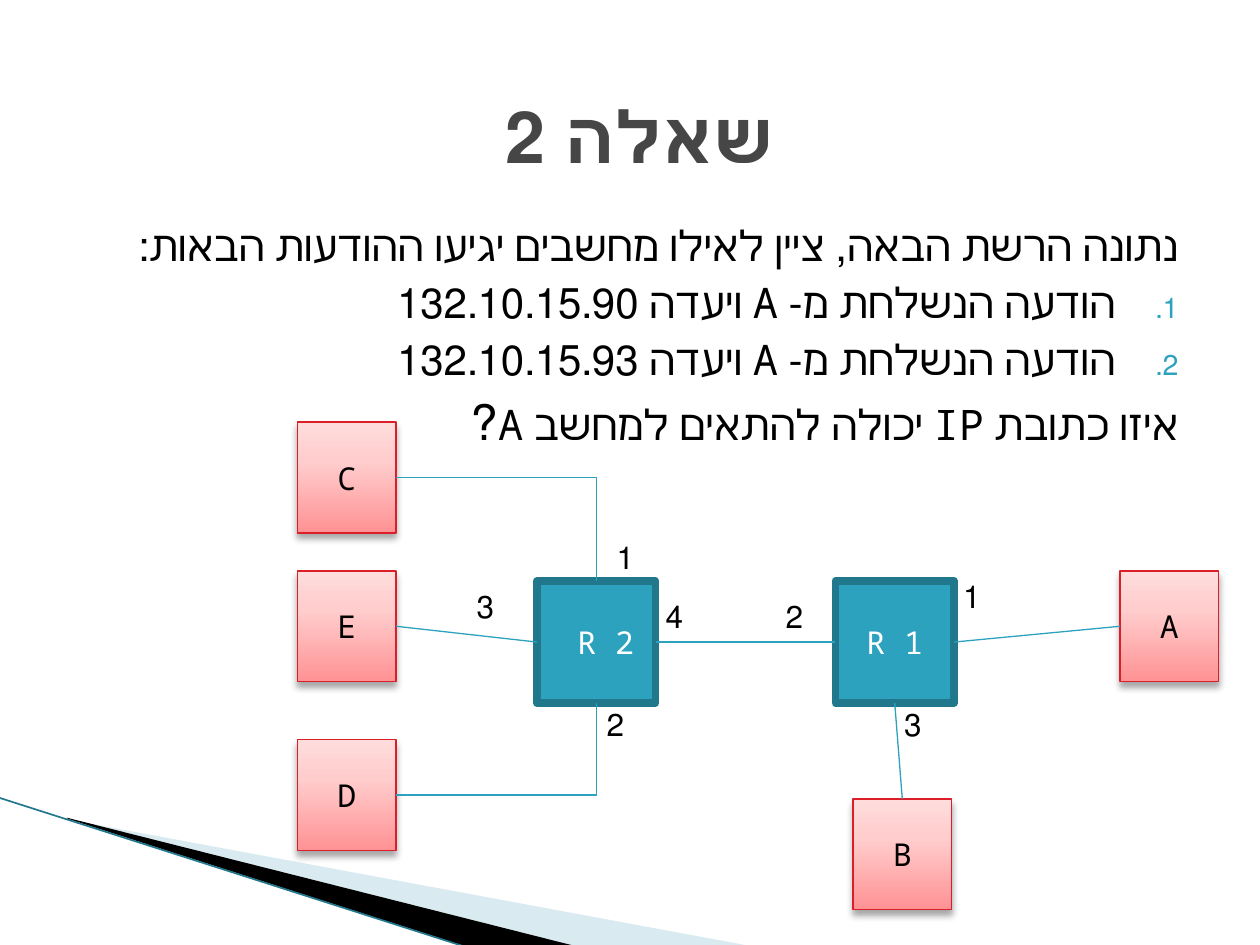
from typing import NamedTuple

from lxml.etree import SubElement
from pptx import Presentation
from pptx.dml.color import RGBColor
from pptx.enum.shapes import MSO_CONNECTOR as CONN, MSO_SHAPE as SHAPE
from pptx.enum.text import MSO_ANCHOR as ANCHOR, PP_ALIGN as ALIGN
from pptx.oxml import parse_xml
from pptx.oxml.ns import nsdecls, qn
from pptx.util import Pt

FONT = "Noto Sans Mono"
TEAL, DARK_TEAL, BLACK = "2DA2BF", "21788D", "000000"
TOP, LEFT, BOTTOM, RIGHT = range(4)  # connection sites of a rectangle


class Node(NamedTuple):
    """A computer or router of the network."""
    text: str
    left: float
    top: float
    router: bool = False
    rtl: bool = True


class Link(NamedTuple):
    """A line between two connection sites."""
    start: str
    start_site: int
    end: str
    end_site: int
    bent: bool = False


class Port(NamedTuple):
    """A port number beside a router."""
    text: str
    left: float
    top: float


class Line(NamedTuple):
    """A paragraph of the question."""
    text: str
    indent: float = -36
    numbered: bool = False
    tail: str = ""


NODES = {
    "R2": Node(" R 2", 306.8, 332, True, False),
    "R1": Node("R 1", 477.4, 332, True),
    "A": Node("A", 640, 326.2),
    "B": Node("B", 487.4, 456.5),
    "C": Node("C", 170, 241.2),
    "D": Node("D", 170, 422.6),
    "E": Node("E", 170, 326.2),
}
LINKS = [
    Link("C", RIGHT, "R2", TOP, True),
    Link("D", RIGHT, "R2", BOTTOM, True),
    Link("E", RIGHT, "R2", LEFT),
    Link("R2", RIGHT, "R1", LEFT),
    Link("R1", BOTTOM, "B", TOP),
    Link("A", LEFT, "R1", RIGHT),
]
PORTS = [
    Port("1", 347, 303.8), Port("3", 267, 332), Port("2", 341.3, 399.6),
    Port("4", 375, 337.7), Port("2", 443.5, 337.7), Port("1", 545, 326.2),
    Port("3", 511.2, 399.6),
]
QUESTION = [
    Line("נתונה הרשת הבאה, ציין לאילו מחשבים יגיעו ההודעות הבאות:", 0),
    Line("הודעה הנשלחת מ- A ויעדה 132.10.15.90", numbered=True),
    Line("הודעה הנשלחת מ- A ויעדה 132.10.15.93", numbered=True),
    Line("איזו כתובת IP יכולה להתאים למחשב A", tail="?"),
]


def rgb(value: str) -> RGBColor:
    """Turn a hex string into a colour."""
    return RGBColor.from_string(value)


def style_paragraph(p, size, color=BLACK, align=ALIGN.CENTER, rtl=True, bold=False):
    """Format a paragraph and all its runs."""
    p.alignment = align
    if rtl:
        p._p.get_or_add_pPr().set("rtl", "1")
    for r in p.runs:
        r.font.name, r.font.size, r.font.bold = FONT, Pt(size), bold
        r.font.color.rgb = rgb(color)


def add_text(s, left, top, width, height, wrap=True):
    """Add an empty text box and return its text frame."""
    tf = s.shapes.add_textbox(Pt(left), Pt(top), Pt(width), Pt(height)).text_frame
    tf.word_wrap = wrap
    return tf


def add_swoosh(s, points, color, alpha=100):
    """Draw a filled corner decoration."""
    fb = s.shapes.build_freeform(Pt(points[0][0]), Pt(points[0][1]), scale=1.0)
    fb.add_line_segments([(Pt(x), Pt(y)) for x, y in points[1:]])
    sp = fb.convert_to_shape()
    sp.shadow.inherit = False
    sp.fill.solid()
    sp.fill.fore_color.rgb = rgb(color)
    sp.line.fill.background()
    clr = sp._element.spPr.find(qn("a:solidFill"))[0]
    SubElement(clr, qn("a:alpha"), val=str(alpha * 1000))


def add_connector(s, kind, color, width, ends=(0, 0, 0, 0)):
    """Add a connector without a shadow."""
    cx = s.shapes.add_connector(kind, *map(Pt, ends))
    cx.line.color.rgb = rgb(color)
    cx.line.width = Pt(width)
    SubElement(cx._element.spPr, qn("a:effectLst"))
    return cx


def add_gradient_and_shadow(sp):
    """Give a computer its red gradient and soft shadow."""
    stops = "".join(
        f'<a:gs pos="{pos * 1000}"><a:srgbClr val="{color}"/></a:gs>'
        for pos, color in [(0, "FF9294"), (65, "FFCDCD"), (100, "FFDCDC")])
    spPr = sp._element.spPr
    spPr.find(qn("a:prstGeom")).addnext(parse_xml(
        f'<a:gradFill {nsdecls("a")} rotWithShape="1"><a:gsLst>{stops}</a:gsLst>'
        '<a:lin ang="16200000" scaled="1"/></a:gradFill>'))
    spPr.find(qn("a:effectLst")).append(parse_xml(
        f'<a:outerShdw {nsdecls("a")} blurRad="{Pt(4)}" dist="{Pt(3)}" dir="5400000" '
        'rotWithShape="0"><a:srgbClr val="000000"><a:alpha val="35000"/>'
        '</a:srgbClr></a:outerShdw>'))


def add_node(s, node: Node):
    """Draw a router or a computer."""
    width, height = (67.8, 69.8) if node.router else (56.4, 63.4)
    sp = s.shapes.add_shape(
        SHAPE.RECTANGLE, Pt(node.left), Pt(node.top), Pt(width), Pt(height))
    sp.shadow.inherit = False
    sp.line.color.rgb = rgb(DARK_TEAL if node.router else "DA1F28")
    sp.line.width = Pt(4.33 if node.router else 0.75)
    if node.router:
        sp.fill.solid()
        sp.fill.fore_color.rgb = rgb(TEAL)
    else:
        add_gradient_and_shadow(sp)
    tf = sp.text_frame
    tf.text = node.text
    tf.vertical_anchor = ANCHOR.MIDDLE
    style_paragraph(tf.paragraphs[0], 18, "FFFFFF" if node.router else BLACK, rtl=node.rtl)
    return sp


def add_link(s, link: Link, shapes):
    """Connect two nodes."""
    cx = add_connector(s, CONN.ELBOW if link.bent else CONN.STRAIGHT, TEAL, 0.75)
    cx.begin_connect(shapes[link.start], link.start_site)
    cx.end_connect(shapes[link.end], link.end_site)
    if link.bent:
        cx._element.spPr.find(qn("a:prstGeom")).set("prst", "bentConnector2")


def add_question(s):
    """Write the question with its numbered messages."""
    tf = add_text(s, 42.5, 121.7, 646.6, 398.9)
    for i, line in enumerate(QUESTION):
        p = tf.add_paragraph() if i else tf.paragraphs[0]
        p.text = line.text
        if line.tail:
            p.add_run().text = line.tail
        style_paragraph(p, 24, align=ALIGN.RIGHT)
        if line.tail:
            p.runs[-1].font.size = Pt(28)
        p.space_before = Pt(4)
        pPr = p._p.get_or_add_pPr()
        pPr.set("marL", str(Pt(8.64 - line.indent)))
        pPr.set("indent", str(Pt(line.indent)))
        if line.numbered:
            SubElement(SubElement(pPr, qn("a:buClr")), qn("a:srgbClr"), val=TEAL)
            SubElement(pPr, qn("a:buSzPct"), val="68000")
            SubElement(pPr, qn("a:buAutoNum"), type="arabicPeriod")


prs = Presentation()
prs.slide_width, prs.slide_height = Pt(720), Pt(540)
s = prs.slides.add_slide(prs.slide_layouts[6])

add_swoosh(s, [(39.6, 468.5), (428.4, 540.5), (328.3, 540.5), (39.6, 468)], "A0CBDC", 40)
add_swoosh(s, [(38.2, 467.3), (329, 540.7), (267.8, 541.4), (38.9, 468)], BLACK)
add_connector(s, CONN.STRAIGHT, DARK_TEAL, 0.95, (-0.7, 455.8, 267, 541.4))

add_question(s)
title = add_text(s, 42.5, 26.6, 646.6, 100.8)
title.text = "שאלה 2"
title.vertical_anchor = ANCHOR.MIDDLE
style_paragraph(title.paragraphs[0], 41, "464646", bold=True)

shapes = {name: add_node(s, node) for name, node in NODES.items()}
for link in LINKS:
    add_link(s, link, shapes)
for port in PORTS:
    tf = add_text(s, port.left, port.top, 22.5, 28.8, wrap=False)
    tf.text = port.text
    style_paragraph(tf.paragraphs[0], 18, align=ALIGN.RIGHT)

prs.save("out.pptx")
